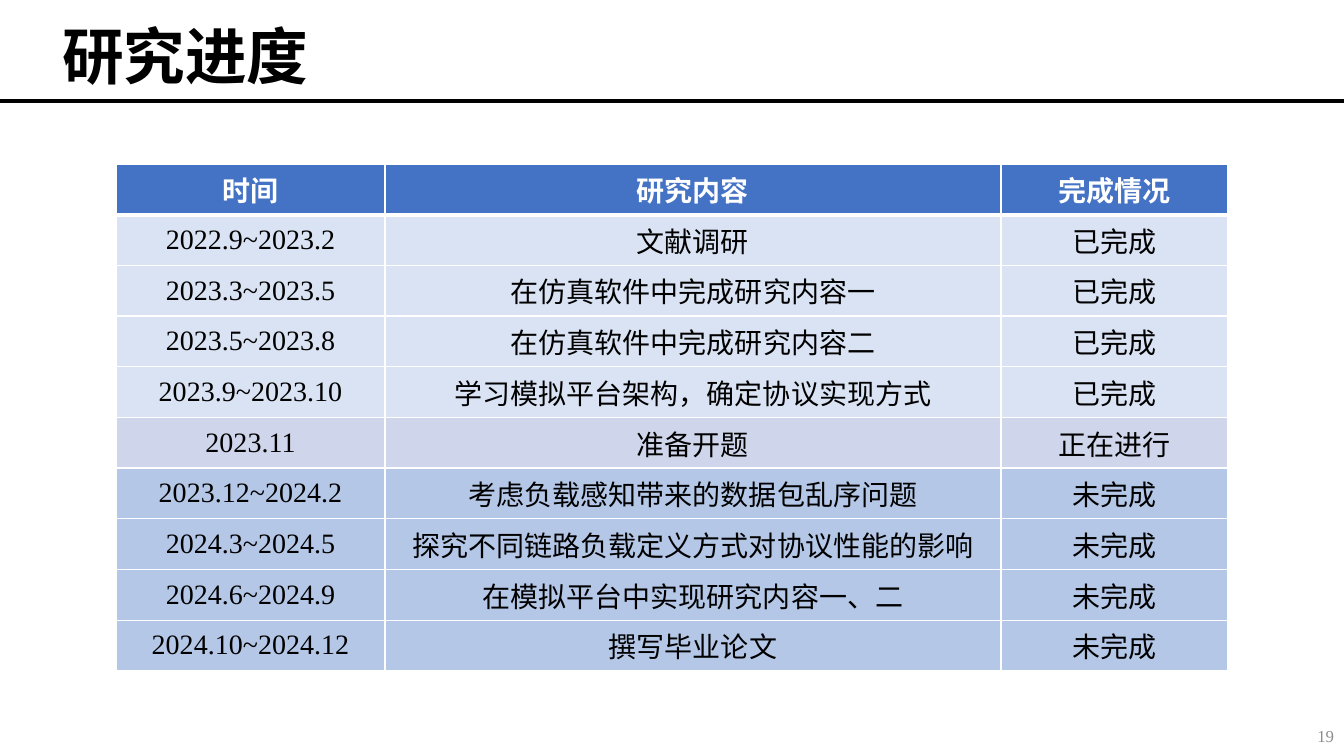
from dataclasses import dataclass

from lxml.etree import SubElement
from pptx import Presentation
from pptx.dml.color import RGBColor
from pptx.enum.shapes import MSO_CONNECTOR
from pptx.enum.text import MSO_ANCHOR, MSO_AUTO_SIZE, PP_ALIGN
from pptx.oxml.ns import qn
from pptx.util import Emu, Pt

# Content
TITLE = "研究进度"
PAGE_NUMBER = "19"
HEADINGS = ("时间", "研究内容", "完成情况")
SCHEDULE = [
    ("2022.9~2023.2", "文献调研", "已完成"),
    ("2023.3~2023.5", "在仿真软件中完成研究内容一", "已完成"),
    ("2023.5~2023.8", "在仿真软件中完成研究内容二", "已完成"),
    ("2023.9~2023.10", "学习模拟平台架构，确定协议实现方式", "已完成"),
    ("2023.11", "准备开题", "正在进行"),
    ("2023.12~2024.2", "考虑负载感知带来的数据包乱序问题", "未完成"),
    ("2024.3~2024.5", "探究不同链路负载定义方式对协议性能的影响", "未完成"),
    ("2024.6~2024.9", "在模拟平台中实现研究内容一、二", "未完成"),
    ("2024.10~2024.12", "撰写毕业论文", "未完成"),
]


@dataclass(frozen=True)
class Theme:
    black: str = "000000"
    white: str = "FFFFFF"
    gray: str = "8C8C8C"
    header: str = "4472C4"
    done: str = "DAE3F3"
    ongoing: str = "CFD5EA"
    pending: str = "B4C7E7"
    latin: str = "Times New Roman"
    chinese: str = "Noto Sans CJK SC"
    title_size: int = 44
    table_size: int = 20
    page_size: int = 12
    thin: int = 1
    thick: int = 3


THEME = Theme()
STATUS_FILLS = {"已完成": THEME.done, "正在进行": THEME.ongoing, "未完成": THEME.pending}

# Layout in px
SLIDE_WIDTH, SLIDE_HEIGHT = 1344, 756
RULE_Y = 101
TITLE_BOX = (52, 10, 843, 99)
PAGE_BOX = (1041, 716, 303, 40)
TABLE_LEFT, TABLE_TOP, TABLE_HEIGHT = 116, 164, 507
COLUMN_WIDTHS = (269, 616, 227)


def px(length):
    return Emu(round(length * 914400 / 100.8))


def write(frame, text, *, size, color, font=THEME.latin, bold=False,
          align=PP_ALIGN.CENTER, spacing=None):
    para = frame.paragraphs[0]
    para.alignment = align
    para.line_spacing = spacing
    span = para.add_run()
    span.text = text
    span.font.size = Pt(size)
    span.font.bold = bold
    span.font.name = font
    span.font.color.rgb = RGBColor.from_string(color)
    SubElement(span.font._element, qn("a:ea"), typeface=THEME.chinese)


def set_borders(cell, **widths):
    properties = cell._tc.get_or_add_tcPr()
    for side in "LRTB":
        width = Pt(widths.get(side, THEME.thin))
        line = SubElement(properties, qn(f"a:ln{side}"), w=str(width))
        fill = SubElement(line, qn("a:solidFill"))
        SubElement(fill, qn("a:srgbClr"), val=THEME.white)


def add_title(slide):
    box = slide.shapes.title
    box.left, box.top, box.width, box.height = map(px, TITLE_BOX)
    frame = box.text_frame
    frame.auto_size = MSO_AUTO_SIZE.NONE
    frame.vertical_anchor = MSO_ANCHOR.MIDDLE
    write(frame, TITLE, size=THEME.title_size, color=THEME.black,
          font=THEME.chinese, bold=True, align=PP_ALIGN.LEFT, spacing=0.9)


def add_rule(slide):
    rule = slide.shapes.add_connector(
        MSO_CONNECTOR.STRAIGHT, 0, px(RULE_Y), px(SLIDE_WIDTH), px(RULE_Y))
    rule.line.color.rgb = RGBColor.from_string(THEME.black)
    rule.line.width = Pt(THEME.thick)
    SubElement(rule._element.spPr, qn("a:effectLst"))


def add_schedule(slide):
    rows = [HEADINGS, *SCHEDULE]
    table = slide.shapes.add_table(
        len(rows), len(HEADINGS), px(TABLE_LEFT), px(TABLE_TOP),
        px(sum(COLUMN_WIDTHS)), px(TABLE_HEIGHT)).table
    table.horz_banding = False
    for column, width in zip(table.columns, COLUMN_WIDTHS):
        column.width = px(width)
    for index, values in enumerate(rows):
        is_header = index == 0
        table.rows[index].height = px(TABLE_HEIGHT / len(rows))
        # The edge under the header is shared with the first schedule row
        edges = {0: {"B": THEME.thick}, 1: {"T": THEME.thick}}.get(index, {})
        color = THEME.white if is_header else THEME.black
        background = THEME.header if is_header else STATUS_FILLS[values[-1]]
        for cell, text in zip(table.rows[index].cells, values):
            set_borders(cell, **edges)
            cell.fill.solid()
            cell.fill.fore_color.rgb = RGBColor.from_string(background)
            cell.vertical_anchor = MSO_ANCHOR.MIDDLE
            write(cell.text_frame, text, size=THEME.table_size,
                  color=color, bold=is_header)


def add_page_number(slide):
    frame = slide.shapes.add_textbox(*map(px, PAGE_BOX)).text_frame
    frame.word_wrap = True
    frame.vertical_anchor = MSO_ANCHOR.MIDDLE
    write(frame, PAGE_NUMBER, size=THEME.page_size, color=THEME.gray,
          align=PP_ALIGN.RIGHT)


def main():
    deck = Presentation()
    deck.slide_width, deck.slide_height = px(SLIDE_WIDTH), px(SLIDE_HEIGHT)
    slide = deck.slides.add_slide(deck.slide_layouts[5])
    add_rule(slide)
    add_title(slide)
    add_page_number(slide)
    add_schedule(slide)
    deck.save("out.pptx")


if __name__ == "__main__":
    main()
